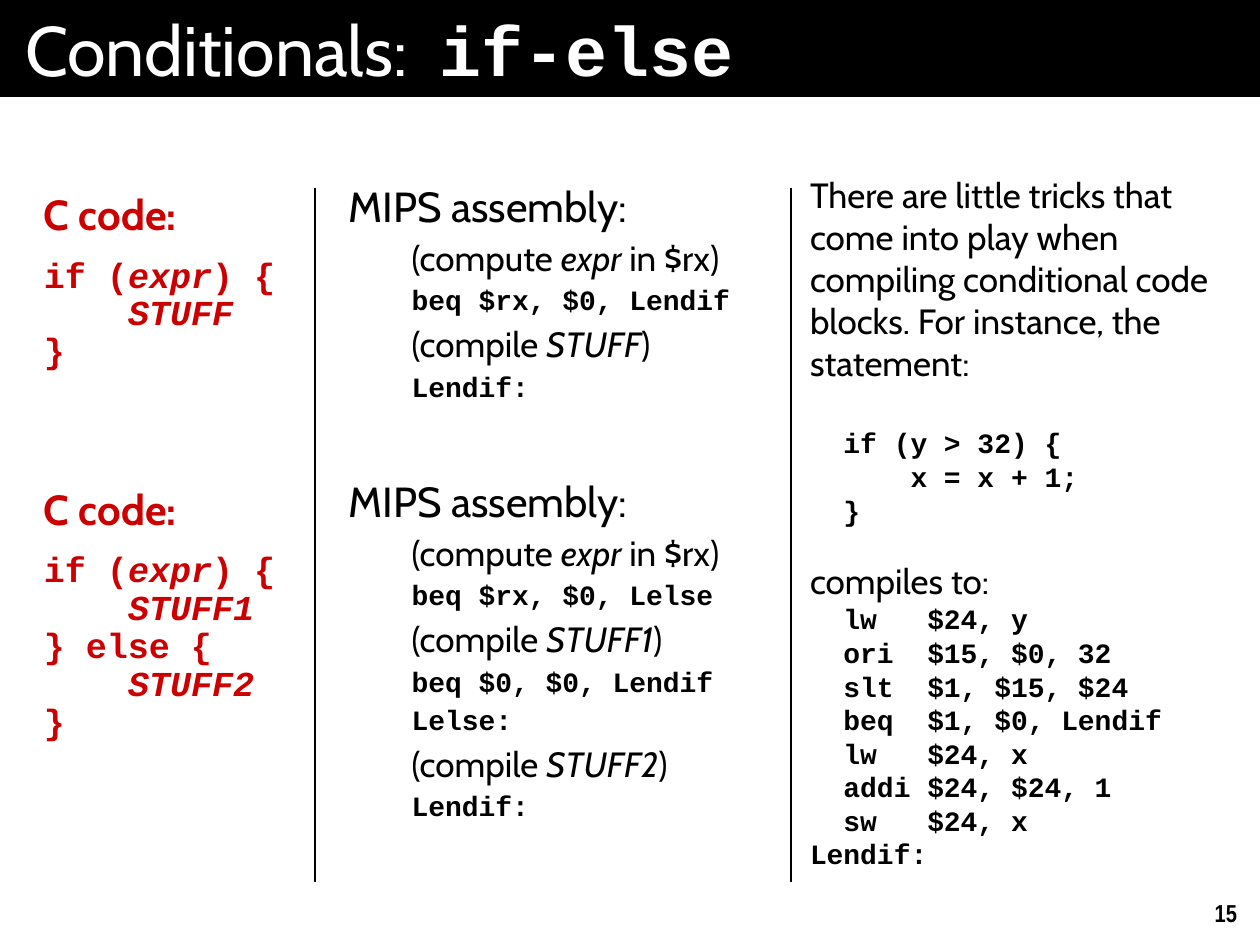
from lxml import etree
from pptx import Presentation
from pptx import util as u
from pptx.dml.color import RGBColor
from pptx.enum import shapes, text
from pptx.oxml import ns

BLACK = RGBColor(0x00, 0x00, 0x00)
WHITE = RGBColor(0xFF, 0xFF, 0xFF)
RED = RGBColor(0xCC, 0x00, 0x00)
PROSE, CODE, NUMBER = "Cabin", "Courier New", "Arial Narrow"
SPACE_RATIO = 0.53  # space before a paragraph, relative to its text size


def add_text_box(left, top, width, height):
    frame = slide.shapes.add_textbox(u.Pt(left), u.Pt(top), u.Pt(width), u.Pt(height)).text_frame
    frame.word_wrap = True
    return frame


def write(frame, content, font, size, color=BLACK, bold=False, spacing=1.0, before=0):
    """Append a paragraph; *asterisks* mark italics and newlines become line breaks."""
    paragraph = frame.paragraphs[0]
    if paragraph.runs:
        paragraph = frame.add_paragraph()
    paragraph.line_spacing = spacing
    paragraph.space_before = u.Pt(before)
    for index, part in enumerate(content.split("*")):
        for line_index, line in enumerate(part.split("\n")):
            if line_index:
                paragraph.add_line_break()
            if line:
                run = paragraph.add_run()
                run.text = line
                run.font.name = font
                run.font.size = u.Pt(size)
                run.font.color.rgb = color
                run.font.bold = bold
                run.font.italic = index % 2 == 1
    return paragraph


presentation = Presentation()
presentation.slide_width, presentation.slide_height = u.Pt(720), u.Pt(540)
slide = presentation.slides.add_slide(presentation.slide_layouts[6])

# Title bar
title = slide.shapes.add_shape(shapes.MSO_SHAPE.RECTANGLE, 0, 0, u.Pt(720), u.Pt(55.4))
title.shadow.inherit = False
title.fill.solid()
title.fill.fore_color.rgb = BLACK
title.line.fill.background()
title_frame = title.text_frame
title_frame.margin_left = title_frame.margin_right = u.Pt(14.4)
title_frame.vertical_anchor = text.MSO_ANCHOR.MIDDLE
title_paragraph = title_frame.paragraphs[0]
title_paragraph.alignment = text.PP_ALIGN.LEFT
for content, font, bold in (("Conditionals:  ", PROSE, False), ("if-else", CODE, True)):
    run = title_paragraph.add_run()
    run.text = content
    run.font.name = font
    run.font.size = u.Pt(40)
    run.font.bold = bold
    run.font.color.rgb = WHITE

# Each example: top, C code, and its assembly as (content, is code)
examples = [
    (107.3, "if (*expr*) {\n    *STUFF*\n}", [
        ("(compute *expr* in $rx)", False),
        ("beq $rx, $0, Lendif", True),
        ("(compile *STUFF*)", False),
        ("Lendif:", True),
    ]),
    (275.8, "if (*expr*) {\n    *STUFF1*\n} else {\n    *STUFF2*\n}", [
        ("(compute *expr* in $rx)", False),
        ("beq $rx, $0, Lelse", True),
        ("(compile *STUFF1*)", False),
        ("beq $0, $0, Lendif", True),
        ("Lelse:", True),
        ("(compile *STUFF2*)", False),
        ("Lendif:", True),
    ]),
]
for top, c_code, assembly in examples:
    c_frame = add_text_box(18, top, 232, 155)
    write(c_frame, "C code:", PROSE, 24, RED, True, 0.9)
    write(c_frame, c_code, CODE, 20, RED, True, 0.9, 20 * SPACE_RATIO)

    assembly_frame = add_text_box(192.2, top, 246.2, 209 if len(assembly) > 4 else 133)
    write(assembly_frame, "MIPS assembly:", PROSE, 24, spacing=0.7)
    for content, is_code in assembly:
        font, size = (CODE, 16) if is_code else (PROSE, 20)
        paragraph = write(assembly_frame, content, font, size, bold=is_code,
                          spacing=0.7, before=size * SPACE_RATIO)
        properties = paragraph._p.get_or_add_pPr()
        properties.set("marL", str(u.Pt(36)))
        properties.set("indent", "0")

# Compiled example in the right column
notes_frame = add_text_box(455.8, 95.8, 264.2, 429)
write(notes_frame, "There are little tricks that come into play when compiling "
      "conditional code blocks. For instance, the statement:", PROSE, 20)
for index, line in enumerate(("  if (y > 32) {", "      x = x + 1;", "  }")):
    write(notes_frame, line, CODE, 16, bold=True, before=0 if index else 24)
write(notes_frame, "compiles to:", PROSE, 20, before=19)
instructions = (
    "  lw   $24, y",
    "  ori  $15, $0, 32",
    "  slt  $1, $15, $24",
    "  beq  $1, $0, Lendif",
    "  lw   $24, x",
    "  addi $24, $24, 1",
    "  sw   $24, x",
    "Lendif:",
)
for line in instructions:
    write(notes_frame, line, CODE, 16, bold=True)

# Column dividers
for x in (180, 452):
    divider = slide.shapes.add_connector(
        shapes.MSO_CONNECTOR.STRAIGHT, u.Pt(x), u.Pt(107.3), u.Pt(x), u.Pt(504))
    divider.line.color.rgb = BLACK
    divider.line.width = u.Pt(0.75)
    etree.SubElement(divider._element.spPr, ns.qn("a:effectLst"))

# Slide number
number_frame = add_text_box(684, 509.8, 30, 23.8)
write(number_frame, "15", NUMBER, 14, bold=True).alignment = text.PP_ALIGN.RIGHT

presentation.save("out.pptx")
